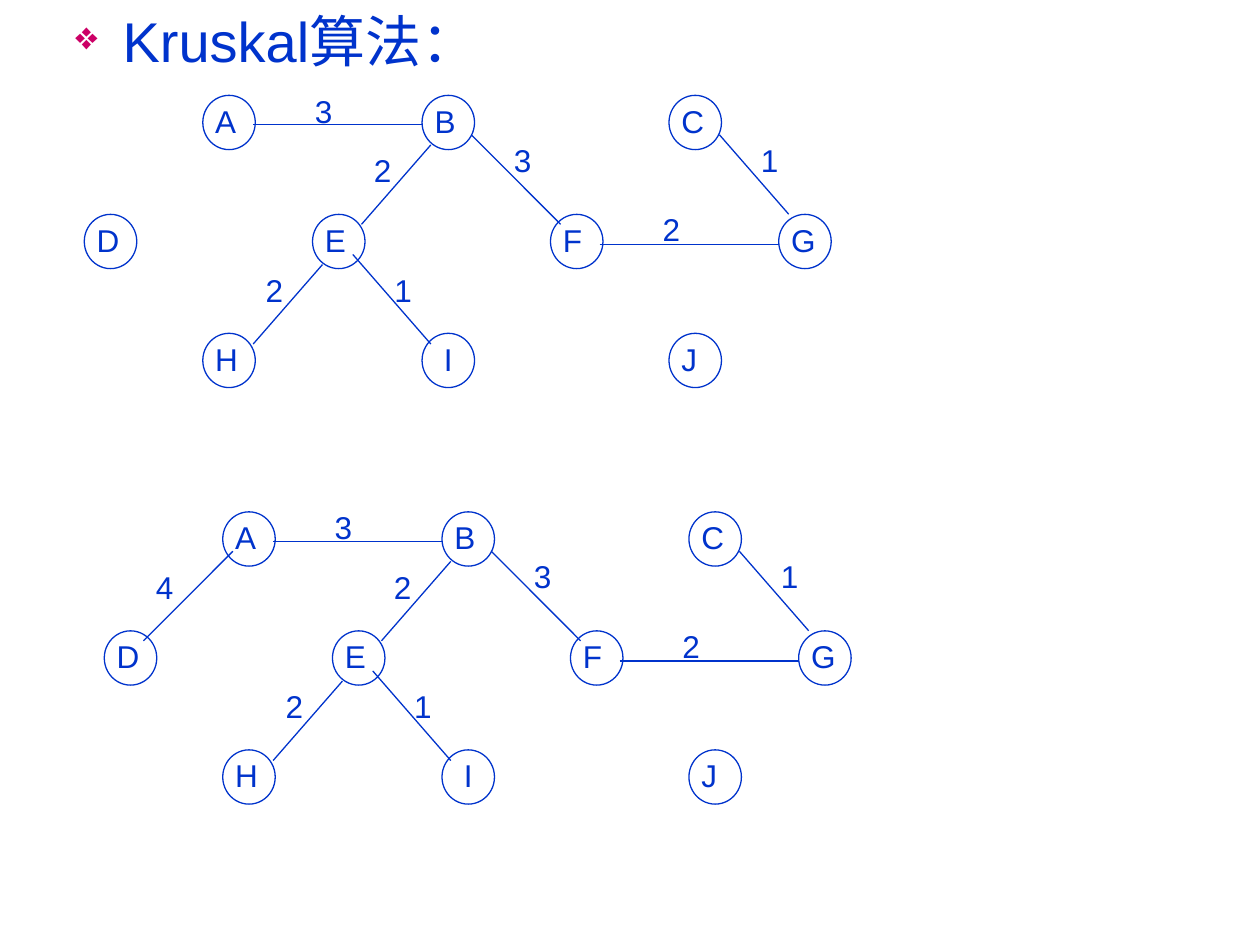
from typing import NamedTuple

from lxml.etree import SubElement
from pptx import Presentation
from pptx.dml.color import RGBColor
from pptx.enum.shapes import MSO_CONNECTOR, MSO_SHAPE
from pptx.oxml.ns import qn
from pptx.util import Pt

COLORS = {"ink": "0033CC", "bullet": "CC0066"}
FONT = "Arial"
ROWS = [54.5 + 68 * i for i in range(3)]
NODE_W, NODE_H = 30, 31
LABEL_H = 28.8


class Node(NamedTuple):
    name: str
    x: float
    row: int
    wide: float
    shift: float = 0


class Edge(NamedTuple):
    cost: str
    start: tuple[float, float]
    end: tuple[float, float]
    spot: tuple[float, float]
    wide: float


NODES = [
    Node("D", 48.2, 1, 28), Node("A", 115.9, 0, 34),
    Node("H", 115.9, 2, 40), Node("E", 178.6, 1, 28),
    Node("B", 241.2, 0, 40), Node("I", 241.2, 2, 45, 5.4),
    Node("F", 314.6, 1, 45), Node("C", 382.3, 0, 40),
    Node("J", 382.3, 2, 40), Node("G", 445, 1, 34),
]
EDGES = [
    Edge("1", (201.6, 145.4), (246.2, 196.6), (218.2, 151.2), 34),
    Edge("2", (184.3, 151.2), (144.7, 196.6), (144.7, 151.2), 22),
    Edge("2", (206.6, 128.2), (246.2, 82.8), (206.6, 82.8), 17),
    Edge("2", (342.7, 139.7), (445, 139.7), (371.5, 116.6), 34),
    Edge("1", (411.1, 77), (450.7, 122.4), (427.7, 77), 22),
    Edge("3", (144.7, 71.3), (241.2, 71.3), (172.8, 49), 45),
    Edge("3", (269.3, 77), (320.4, 128.2), (286.6, 77), 28),
]
# The edge that the next step of the algorithm adds
NEXT = Edge("4", (70.6, 128.2), (121.7, 77), (70.6, 82.8), 34)


def paint(line) -> None:
    line.color.rgb = RGBColor.from_string(COLORS["ink"])
    line.width = Pt(0.75)


def write(shapes, text: str, x: float, y: float, w: float, h: float,
          size: float):
    box = shapes.add_textbox(Pt(x), Pt(y), Pt(w), Pt(h))
    box.text_frame.word_wrap = True
    para = box.text_frame.paragraphs[0]
    para.text = text
    para.font.name = FONT
    para.font.size = Pt(size)
    para.font.color.rgb = RGBColor.from_string(COLORS["ink"])
    return para


def add_title(shapes) -> None:
    para = write(shapes, "Kruskal算法：", 36, 0, 648, 482.4, 32)
    props = para._p.get_or_add_pPr()
    props.set("marL", str(Pt(27)))
    props.set("indent", str(-Pt(27)))
    # Bullet elements stand ahead of the default run properties
    color = SubElement(props, qn("a:buClr"))
    SubElement(color, qn("a:srgbClr"), val=COLORS["bullet"])
    SubElement(props, qn("a:buSzPct"), val="70000")
    SubElement(props, qn("a:buChar"), char="❖")
    props.append(props.find(qn("a:defRPr")))


def add_node(shapes, node: Node, dx: float, dy: float) -> None:
    oval = shapes.add_shape(MSO_SHAPE.OVAL, Pt(node.x + dx),
                            Pt(ROWS[node.row] + dy), Pt(NODE_W), Pt(NODE_H))
    oval.shadow.inherit = False
    oval.fill.background()
    paint(oval.line)


def add_edge(shapes, edge: Edge, dx: float, dy: float) -> None:
    (x1, y1), (x2, y2), (x, y) = edge.start, edge.end, edge.spot
    line = shapes.add_connector(MSO_CONNECTOR.STRAIGHT, Pt(x1 + dx),
                                Pt(y1 + dy), Pt(x2 + dx), Pt(y2 + dy))
    paint(line.line)
    SubElement(line._element.spPr, qn("a:effectLst"))
    write(shapes, edge.cost, x + dx, y + dy, edge.wide, LABEL_H, 18)


def add_graph(slide, edges: list[Edge], dx: float, dy: float) -> None:
    shapes = slide.shapes.add_group_shape().shapes
    for node in NODES:
        add_node(shapes, node, dx, dy)
    for node in NODES:
        write(shapes, node.name, node.x + node.shift + dx,
              ROWS[node.row] + dy, node.wide, LABEL_H, 18)
    for edge in edges:
        add_edge(shapes, edge, dx, dy)


def main() -> None:
    deck = Presentation()
    deck.slide_width, deck.slide_height = Pt(720), Pt(540)
    slide = deck.slides.add_slide(deck.slide_layouts[6])
    add_title(slide.shapes)
    # Forest before and after the next edge
    add_graph(slide, EDGES, 0, 0)
    add_graph(slide, EDGES + [NEXT], 11.4, 238)
    deck.save("out.pptx")


if __name__ == "__main__":
    main()
